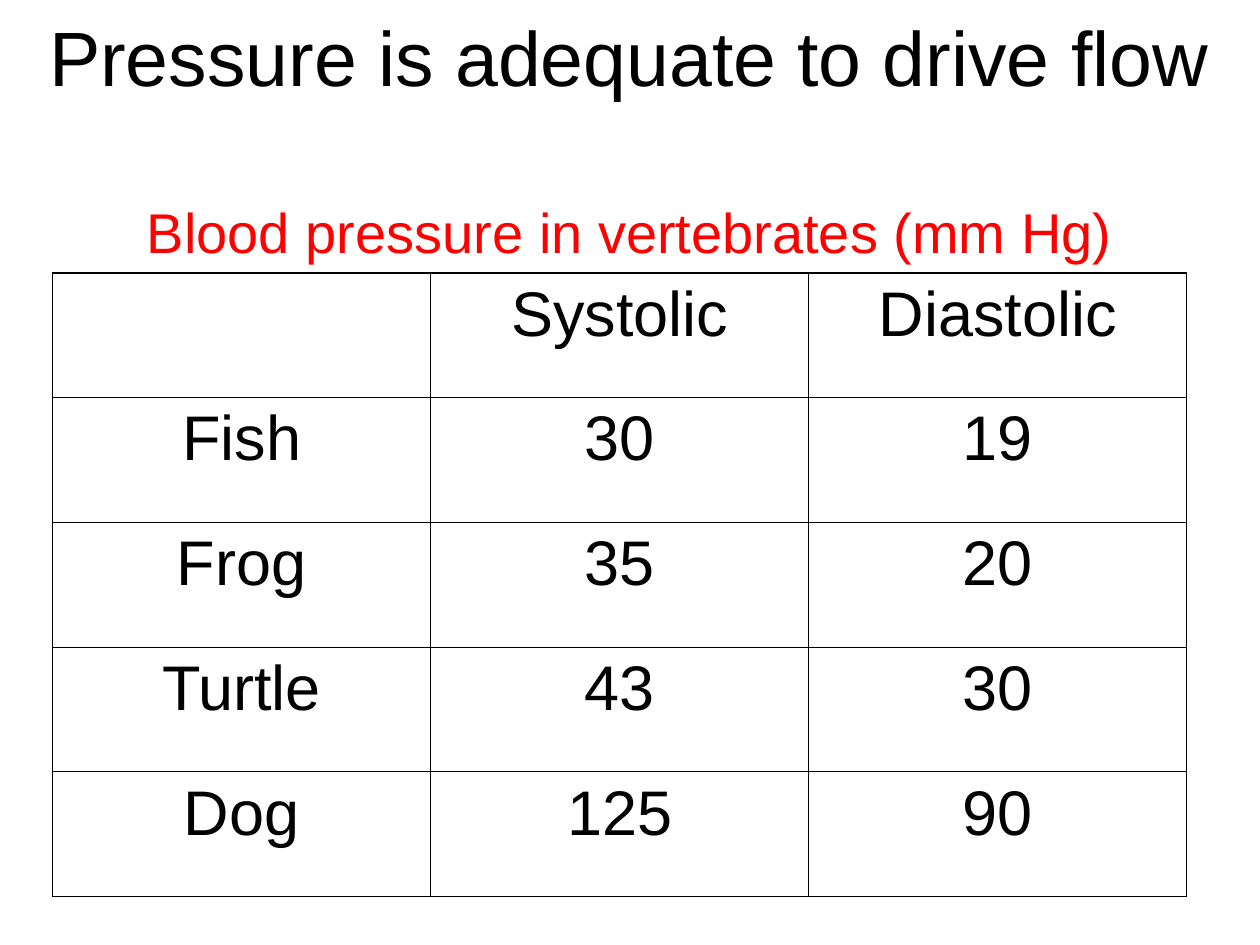
"""Build a slide with a table of blood pressure in vertebrates."""
from lxml import etree
from pptx import Presentation
from pptx import util as u
from pptx.dml.color import RGBColor
from pptx.enum import text
from pptx.oxml import ns

HUES = {"ink": "000000", "red": "FF0000"}
FONT = "Arial"
THIN, THICK = 0.45, 1.08
ROWS = [
    ("", "Systolic", "Diastolic"),
    ("Fish", "30", "19"),
    ("Frog", "35", "20"),
    ("Turtle", "43", "30"),
    ("Dog", "125", "90"),
]


def write(frame, words, size, hue="ink"):
    frame.text = words
    para = frame.paragraphs[0]
    para.alignment = text.PP_ALIGN.CENTER
    para.font.name = FONT
    para.font.size = u.Pt(size)
    para.font.color.rgb = RGBColor.from_string(HUES[hue])


def place(shape, left, top, width, height):
    shape.left, shape.top = u.Cm(left), u.Cm(top)
    shape.width, shape.height = u.Cm(width), u.Cm(height)


def add_title(slide):
    title = slide.shapes.title
    place(title, 1.27, 3.81, 22.86, 1.7)
    write(title.text_frame, "Blood pressure in vertebrates (mm Hg)", 32, "red")
    title.text_frame.vertical_anchor = text.MSO_ANCHOR.MIDDLE


def add_head(slide):
    box = slide.shapes.add_textbox(u.Cm(0.64), 0, u.Cm(24.1), u.Cm(2.26))
    frame = box.text_frame
    frame.word_wrap = True
    frame.vertical_anchor = text.MSO_ANCHOR.MIDDLE
    write(frame, "Pressure is adequate to drive flow", 44)


def add_edge(cell, side, width):
    props = cell._tc.get_or_add_tcPr()
    line = etree.SubElement(props, ns.qn(f"a:ln{side}"), w=str(u.Pt(width)))
    fill = etree.SubElement(line, ns.qn("a:solidFill"))
    etree.SubElement(fill, ns.qn("a:srgbClr"), val=HUES["ink"])


def add_grid(slide):
    high, wide = len(ROWS), len(ROWS[0])
    frame = slide.shapes.add_table(
        high, wide, u.Cm(1.06), u.Cm(5.5), u.Cm(22.86), u.Cm(12.57))
    table = frame.table
    table.first_row = table.horz_banding = False
    for r, row in enumerate(ROWS):
        for c, words in enumerate(row):
            cell = table.cell(r, c)
            outer = {"L": c == 0, "R": c == wide - 1,
                     "T": r == 0, "B": r == high - 1}
            for side, thick in outer.items():
                add_edge(cell, side, THICK if thick else THIN)
            cell.fill.background()
            if words:
                write(cell.text_frame, words, 36)


def main():
    deck = Presentation()
    deck.slide_width, deck.slide_height = u.Cm(25.4), u.Cm(19.05)
    slide = deck.slides.add_slide(deck.slide_layouts[5])
    add_title(slide)
    add_grid(slide)
    add_head(slide)
    deck.save("out.pptx")


if __name__ == "__main__":
    main()
